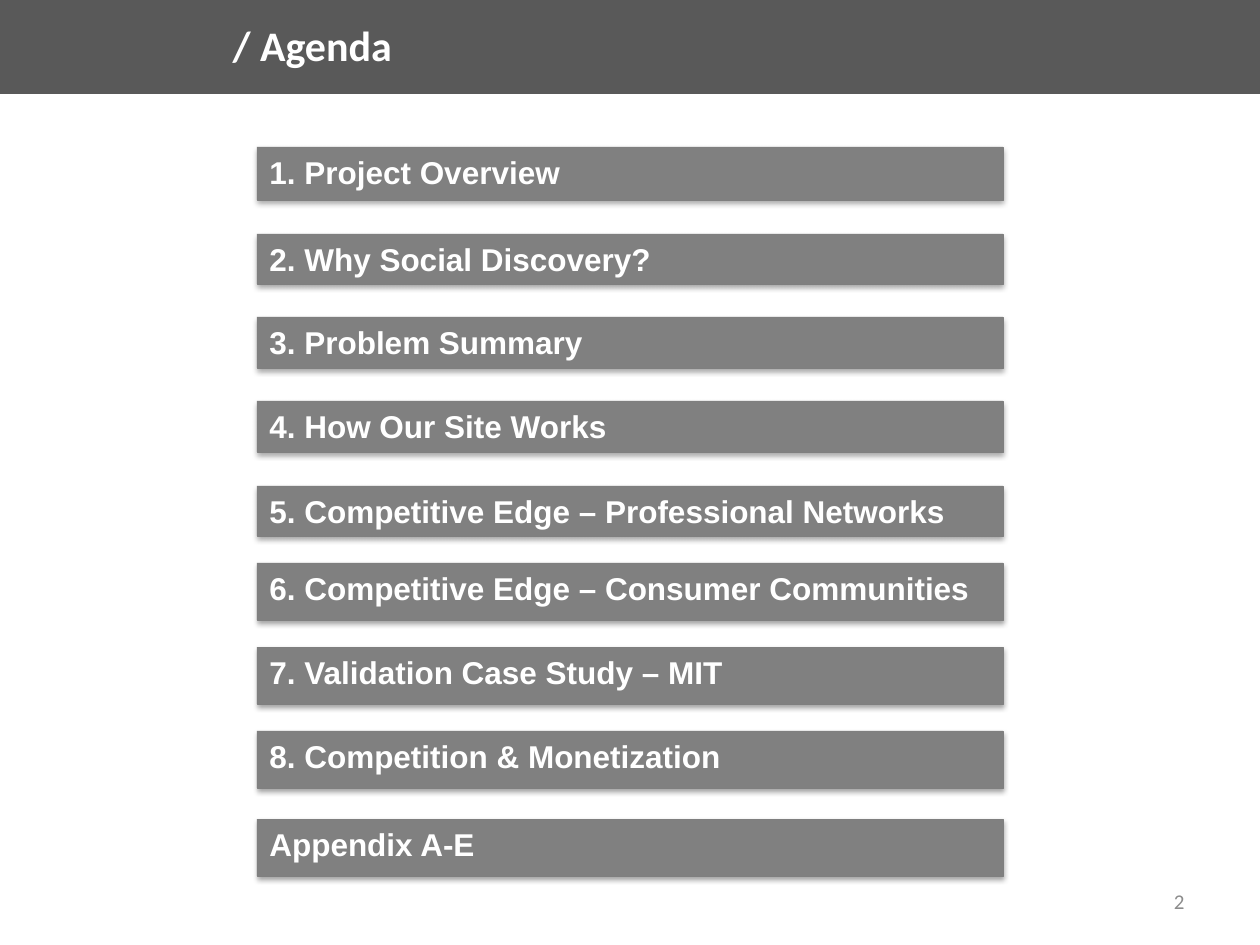
from lxml.etree import SubElement
from pptx import Presentation
from pptx.dml.color import RGBColor
from pptx.enum.shapes import MSO_SHAPE
from pptx.enum.text import MSO_ANCHOR, MSO_AUTO_SIZE, PP_ALIGN
from pptx.oxml.ns import qn
from pptx.util import Emu, Pt

INK = {
    "band": "595959",
    "bar": "808080",
    "edge": "7F7F7F",
    "text": "FFFFFF",
    "page": "8C8C8C",
    "shade": "000000",
}
ITEMS = [
    ("1. Project Overview", 147, 53),
    ("2. Why Social Discovery?", 234, 50),
    ("3. Problem Summary", 317, 51),
    ("4. How Our Site Works", 401, 51),
    ("5. Competitive Edge – Professional Networks", 486, 50),
    ("6. Competitive Edge – Consumer Communities", 563, 57),
    ("7. Validation Case Study – MIT", 647, 57),
    ("8. Competition & Monetization", 731, 57),
    ("Appendix A-E", 819, 57),
]


def px(n):
    return Emu(round(n * 914400 / 126))


def tint(name):
    return RGBColor.from_string(INK[name])


def place(shape, left, top, width, height):
    shape.left, shape.top = px(left), px(top)
    shape.width, shape.height = px(width), px(height)


def write(shape, text, size=18, face="Arial", ink="text", bold=True,
          align=PP_ALIGN.LEFT, anchor=MSO_ANCHOR.TOP):
    frame = shape.text_frame
    frame.text = text
    frame.word_wrap = True
    frame.auto_size = MSO_AUTO_SIZE.NONE
    frame.vertical_anchor = anchor
    para = frame.paragraphs[0]
    para.alignment = align
    font = para.runs[0].font
    font.size, font.name, font.bold = Pt(size), face, bold
    font.color.rgb = tint(ink)


def add_rect(slide, left, top, width, height, fill, edge=None):
    rect = slide.shapes.add_shape(
        MSO_SHAPE.RECTANGLE, px(left), px(top), px(width), px(height))
    rect.shadow.inherit = False
    rect.fill.solid()
    rect.fill.fore_color.rgb = tint(fill)
    if edge:
        rect.line.color.rgb = tint(edge)
        rect.line.width = Pt(0.25)
    else:
        rect.line.fill.background()
    return rect


def add_shade(shape):
    glow = shape.element.spPr.find(qn("a:effectLst"))
    drop = SubElement(glow, qn("a:outerShdw"), blurRad=str(Pt(3.1)),
                      dist=str(Pt(1.8)), dir="5400000", rotWithShape="0")
    shade = SubElement(drop, qn("a:srgbClr"), val=INK["shade"])
    SubElement(shade, qn("a:alpha"), val="35000")


def add_bar(slide, text, top, height):
    bar = add_rect(slide, 257, top, 746, height, "bar", "edge")
    add_shade(bar)
    write(bar, text)


def add_head(slide, text):
    title = slide.shapes.title
    band = add_rect(slide, 0, 0, 1260, 94, "band")
    title.element.addprevious(band.element)
    place(title, 220, 13, 945, 63)
    write(title, text, size=24, face="Calibri", anchor=MSO_ANCHOR.MIDDLE)


def add_page(slide, text):
    box = slide.shapes.add_textbox(px(903), px(876), px(294), px(50))
    write(box, text, size=12, face="Calibri", ink="page", bold=False,
          align=PP_ALIGN.RIGHT, anchor=MSO_ANCHOR.MIDDLE)


def main():
    deck = Presentation()
    deck.slide_width, deck.slide_height = px(1260), px(945)
    slide = deck.slides.add_slide(deck.slide_layouts[5])
    add_head(slide, "/ Agenda")
    for text, top, height in ITEMS:
        add_bar(slide, text, top, height)
    add_page(slide, "2")
    deck.save("out.pptx")


if __name__ == "__main__":
    main()
